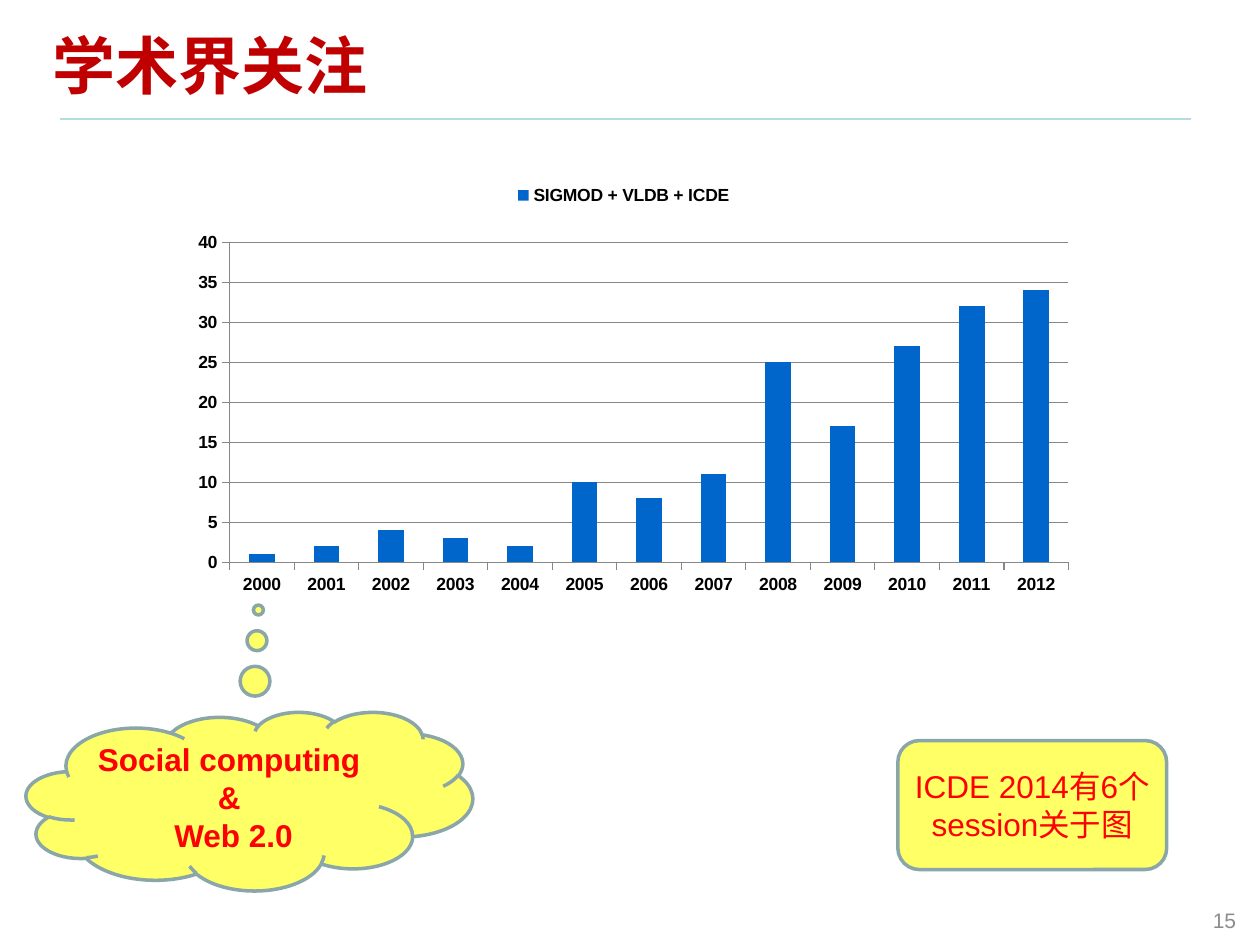
import pptx
import pptx.chart.data
import pptx.dml.color
import pptx.enum.chart
import pptx.enum.shapes
import pptx.enum.text
import pptx.oxml
import pptx.oxml.ns
import pptx.util
from pptx.util import Cm, Pt

COLORS = {
    "title": "C00000",
    "rule": "B6DCDF",
    "page": "8C8C8C",
    "bar": "0066CC",
    "axis": "878787",
    "label": "000000",
    "note_fill": "FFFF66",
    "note_line": "8AA6A8",
    "note_text": "FF0000",
}
PAPERS = {2000: 1, 2001: 2, 2002: 4, 2003: 3, 2004: 2, 2005: 10, 2006: 8,
          2007: 11, 2008: 25, 2009: 17, 2010: 27, 2011: 32, 2012: 34}
ALIGN = pptx.enum.text.PP_ALIGN
SHAPE = pptx.enum.shapes.MSO_SHAPE


def color(name):
    return pptx.dml.color.RGBColor.from_string(COLORS[name])


def style_font(font, size, color_name, name="Arial", bold=False):
    font.name = name
    font.size = Pt(size)
    font.bold = bold
    font.color.rgb = color(color_name)


def write(frame, lines, align, **font_style):
    frame.word_wrap = True
    frame.vertical_anchor = pptx.enum.text.MSO_ANCHOR.MIDDLE
    for index, line in enumerate(lines):
        paragraph = frame.paragraphs[0] if index == 0 else frame.add_paragraph()
        paragraph.text = line
        paragraph.alignment = align
        style_font(paragraph.font, **font_style)


def add_label(slide, box, text, align, **font_style):
    label = slide.shapes.add_textbox(*map(Cm, box))
    write(label.text_frame, [text], align, **font_style)


def add_rule(slide, left, right, y):
    rule = slide.shapes.add_connector(
        pptx.enum.shapes.MSO_CONNECTOR.STRAIGHT, Cm(left), Cm(y), Cm(right), Cm(y))
    rule.line.color.rgb = color("rule")
    rule.line.width = Pt(0.75)
    properties = rule._element.spPr
    properties.append(pptx.oxml.parse_xml(
        f"<a:effectLst {pptx.oxml.ns.nsdecls('a')}/>"))


def add_note(slide, preset, box, lines, bold=False):
    note = slide.shapes.add_shape(preset, *map(Cm, box))
    note.shadow.inherit = False
    note.fill.solid()
    note.fill.fore_color.rgb = color("note_fill")
    note.line.color.rgb = color("note_line")
    note.line.width = Pt(2)
    frame = note.text_frame
    frame.margin_left = frame.margin_right = 0
    frame.margin_top = frame.margin_bottom = 0
    write(frame, lines, ALIGN.CENTER, size=18, color_name="note_text", bold=bold)
    return note


def manual_layout(target="", **fractions):
    """Chart layout element with positions as fractions of the chart."""
    inner = f'<c:layoutTarget val="{target}"/>' if target else ""
    modes = '<c:xMode val="edge"/><c:yMode val="edge"/>'
    places = "".join(f'<c:{key} val="{value}"/>' for key, value in fractions.items())
    return pptx.oxml.parse_xml(
        f"<c:layout {pptx.oxml.ns.nsdecls('c')}><c:manualLayout>"
        f"{inner}{modes}{places}</c:manualLayout></c:layout>")


def style_line(line):
    line.color.rgb = color("axis")
    line.width = Pt(0.75)


def style_axis(axis):
    axis.major_tick_mark = pptx.enum.chart.XL_TICK_MARK.OUTSIDE
    axis.minor_tick_mark = pptx.enum.chart.XL_TICK_MARK.NONE
    style_line(axis.format.line)
    style_font(axis.tick_labels.font, 10, "label", bold=True)


def add_paper_chart(slide, box):
    data = pptx.chart.data.CategoryChartData()
    data.categories = [str(year) for year in PAPERS]
    data.add_series("SIGMOD + VLDB + ICDE", PAPERS.values())
    chart = slide.shapes.add_chart(
        pptx.enum.chart.XL_CHART_TYPE.COLUMN_CLUSTERED, *map(Cm, box), data).chart
    style_font(chart.font, 10, "label")
    chart.has_title = False

    chart.has_legend = True
    chart.legend.position = pptx.enum.chart.XL_LEGEND_POSITION.TOP
    chart.legend.include_in_layout = False
    style_font(chart.legend.font, 10, "label", bold=True)

    plot = chart.plots[0]
    plot.vary_by_categories = False
    plot.gap_width = 150
    bars = plot.series[0].format.fill
    bars.solid()
    bars.fore_color.rgb = color("bar")

    style_axis(chart.category_axis)
    papers_axis = chart.value_axis
    style_axis(papers_axis)
    papers_axis.minimum_scale, papers_axis.maximum_scale = 0, 40
    papers_axis.major_unit = 5
    papers_axis.has_major_gridlines = True
    style_line(papers_axis.major_gridlines.format.line)

    plot_area = chart._chartSpace.chart.plotArea
    for automatic in plot_area.findall(pptx.oxml.ns.qn("c:layout")):
        plot_area.remove(automatic)
    plot_area.insert(0, manual_layout("inner", x=0.07, y=0.17, w=0.89, h=0.62))
    legend_position = chart.legend._element.find(pptx.oxml.ns.qn("c:legendPos"))
    legend_position.addnext(manual_layout(x=0.37, y=0.05))


def main():
    deck = pptx.Presentation()
    deck.slide_width, deck.slide_height = Cm(25.4), Cm(19.05)
    slide = deck.slides.add_slide(deck.slide_layouts[6])

    add_rule(slide, 1.2, 24, 2.4)
    add_label(slide, (0.8, 0.2, 23.2, 2.2), "学术界关注", ALIGN.LEFT,
              size=36, color_name="title", name="Noto Sans Mono", bold=True)
    add_label(slide, (19.25, 18.03, 5.92, 1.02), "15", ALIGN.RIGHT,
              size=12, color_name="page")
    add_paper_chart(slide, (3.3, 3.12, 19, 10.4))

    trend = add_note(slide, SHAPE.CLOUD_CALLOUT, (0.53, 14.35, 9, 3.6),
                     ["Social computing ", "& ", "Web 2.0"], bold=True)
    trend.adjustments[0], trend.adjustments[1] = 0.02, -1.07
    add_note(slide, SHAPE.FLOWCHART_ALTERNATE_PROCESS, (18.1, 14.93, 5.42, 2.6),
             ["ICDE 2014有6个session关于图"])

    deck.save("out.pptx")


if __name__ == "__main__":
    main()
